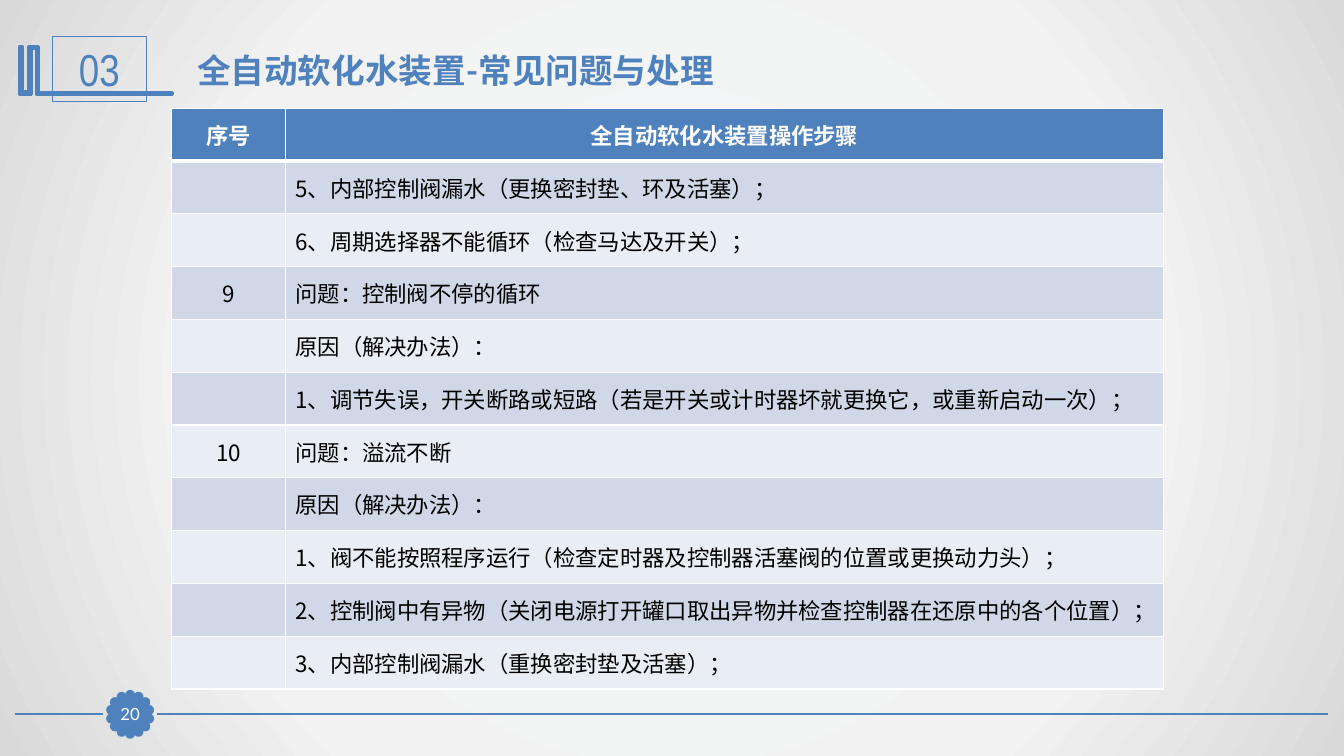
"""Build the slide on common problems of the automatic water softener."""
from math import cos, pi, sin

from pptx import Presentation
from pptx.dml.color import RGBColor
from pptx.enum.shapes import MSO_CONNECTOR, MSO_SHAPE
from pptx.enum.text import MSO_ANCHOR, PP_ALIGN
from pptx.oxml import parse_xml
from pptx.oxml.ns import nsdecls
from pptx.util import Cm, Pt

STRAIGHT = MSO_CONNECTOR.STRAIGHT
OVAL, RECTANGLE = MSO_SHAPE.OVAL, MSO_SHAPE.RECTANGLE
CENTER, LEFT = PP_ALIGN.CENTER, PP_ALIGN.LEFT
MIDDLE = MSO_ANCHOR.MIDDLE
COLORS = {"blue": "4F81BD", "white": "FFFFFF", "black": "000000",
          "dark_band": "D0D8E8", "light_band": "E9EDF4"}
BACKGROUND_STOPS = [(0, "F6F9FC"), (63, "F2F2F2"), (100, "D9D9D9")]


def style_shape(shape, line_width, filled=True):
    """Give a shape the blue outline and an optional blue fill."""
    shape.shadow.inherit = False
    if filled:
        shape.fill.solid()
        shape.fill.fore_color.rgb = RGBColor.from_string(COLORS["blue"])
    else:
        shape.fill.background()
    shape.line.color.rgb = RGBColor.from_string(COLORS["blue"])
    shape.line.width = Pt(line_width)


def write_text(frame, text, font_name, size, color, align=CENTER, bold=False):
    """Write one paragraph in a single font."""
    paragraph = frame.paragraphs[0]
    paragraph.text = text
    paragraph.alignment = align
    paragraph.font.name = font_name
    paragraph.font.size = Pt(size)
    paragraph.font.bold = bold
    paragraph.font.color.rgb = RGBColor.from_string(COLORS[color])


presentation = Presentation()
presentation.slide_width = Cm(33.87)
presentation.slide_height = Cm(19.05)
slide = presentation.slides.add_slide(presentation.slide_layouts[6])
shapes = slide.shapes

stops = "".join(f'<a:gs pos="{position * 1000}"><a:srgbClr val="{color}"/></a:gs>'
                for position, color in BACKGROUND_STOPS)
slide.element.cSld.insert(0, parse_xml(
    f'<p:bg {nsdecls("p", "a")}><p:bgPr><a:gradFill><a:gsLst>{stops}</a:gsLst>'
    '<a:path path="circle"><a:fillToRect l="50000" t="50000" r="50000" b="50000"/>'
    '</a:path></a:gradFill><a:effectLst/></p:bgPr></p:bg>'))

BADGE_X, BADGE_Y = 3.28, 18
for start, end in [(33.48, 3.96), (2.59, 0.38)]:
    footer_line = shapes.add_connector(STRAIGHT, Cm(start), Cm(BADGE_Y), Cm(end), Cm(BADGE_Y))
    footer_line.line.color.rgb = RGBColor.from_string(COLORS["blue"])
    footer_line.line.width = Pt(1.25)
    footer_line._element.spPr.append(parse_xml(f'<a:effectLst {nsdecls("a")}/>'))

PETALS, PETAL_SIZE, RING_RADIUS = 14, 0.18, 0.49
for index in range(PETALS):
    angle = 2 * pi * index / PETALS
    petal = shapes.add_shape(
        OVAL, Cm(BADGE_X + RING_RADIUS * sin(angle) - PETAL_SIZE / 2),
        Cm(BADGE_Y - RING_RADIUS * cos(angle) - PETAL_SIZE / 2), Cm(PETAL_SIZE), Cm(PETAL_SIZE))
    style_shape(petal, 2)

ORNAMENT = [(94, 117), (97, 117), (97, 234), (434, 234), (434, 239),
            (91, 239), (91, 122), (79, 122), (79, 239), (48, 239),
            (48, 117), (58, 117), (58, 231), (71, 231), (71, 117)]
builder = shapes.build_freeform(*ORNAMENT[0], scale=Cm(0.01))
builder.add_line_segments(ORNAMENT[1:], close=True)
style_shape(builder.convert_to_shape(), 2)

section_box = shapes.add_shape(RECTANGLE, Cm(1.32), Cm(0.92), Cm(2.37), Cm(1.63))
style_shape(section_box, 0.75, filled=False)
section_box.text_frame.vertical_anchor = MIDDLE
write_text(section_box.text_frame, "03", "Arial Narrow", 32, "blue")

page_number = shapes.add_shape(RECTANGLE, Cm(2.87), Cm(17.6), Cm(0.82), Cm(0.8))
style_shape(page_number, 0.75)
frame = page_number.text_frame
frame.margin_left = frame.margin_right = frame.margin_top = frame.margin_bottom = 0
frame.vertical_anchor = MIDDLE
write_text(frame, "20", "Lato", 12, "white")

title = shapes.add_textbox(Cm(4.72), Cm(1.13), Cm(24.61), Cm(1.27))
title.text_frame.word_wrap = True
write_text(title.text_frame, "全自动软化水装置-常见问题与处理", "Lato", 24, "blue", LEFT, bold=True)

ROWS = [
    ("序号", "全自动软化水装置操作步骤"),
    ("", "5、内部控制阀漏水（更换密封垫、环及活塞）；"),
    ("", "6、周期选择器不能循环（检查马达及开关）；"),
    ("9", "问题：控制阀不停的循环"),
    ("", "原因（解决办法）："),
    ("", "1、调节失误，开关断路或短路（若是开关或计时器坏就更换它，或重新启动一次）；"),
    ("10", "问题：溢流不断"),
    ("", "原因（解决办法）："),
    ("", "1、阀不能按照程序运行（检查定时器及控制器活塞阀的位置或更换动力头）；"),
    ("", "2、控制阀中有异物（关闭电源打开罐口取出异物并检查控制器在还原中的各个位置）；"),
    ("", "3、内部控制阀漏水（重换密封垫及活塞）；"),
]
COLUMN_WIDTHS = [2.86, 22.14]
ROW_HEIGHT = 1.33
table = shapes.add_table(len(ROWS), len(COLUMN_WIDTHS), Cm(4.33), Cm(2.73),
                         Cm(sum(COLUMN_WIDTHS)), Cm(ROW_HEIGHT * len(ROWS))).table
for column, width in zip(table.columns, COLUMN_WIDTHS):
    column.width = Cm(width)

for row_index, texts in enumerate(ROWS):
    table.rows[row_index].height = Cm(ROW_HEIGHT)
    header = row_index == 0
    band = "blue" if header else "dark_band" if row_index % 2 else "light_band"
    for column_index, text in enumerate(texts):
        cell = table.cell(row_index, column_index)
        cell.vertical_anchor = MIDDLE
        cell.fill.solid()
        cell.fill.fore_color.rgb = RGBColor.from_string(COLORS[band])
        write_text(cell.text_frame, text, "Noto Sans CJK SC", 16,
                   "white" if header else "black",
                   CENTER if header or column_index == 0 else LEFT, bold=header)
        properties = cell._tc.get_or_add_tcPr()
        for position, side in enumerate("LRTB"):
            thick = (row_index, side) in [(0, "B"), (1, "T")]
            properties.insert(position, parse_xml(
                f'<a:ln{side} {nsdecls("a")} w="{Pt(3 if thick else 1)}"><a:solidFill>'
                f'<a:srgbClr val="{COLORS["white"]}"/></a:solidFill></a:ln{side}>'))

presentation.save("out.pptx")
